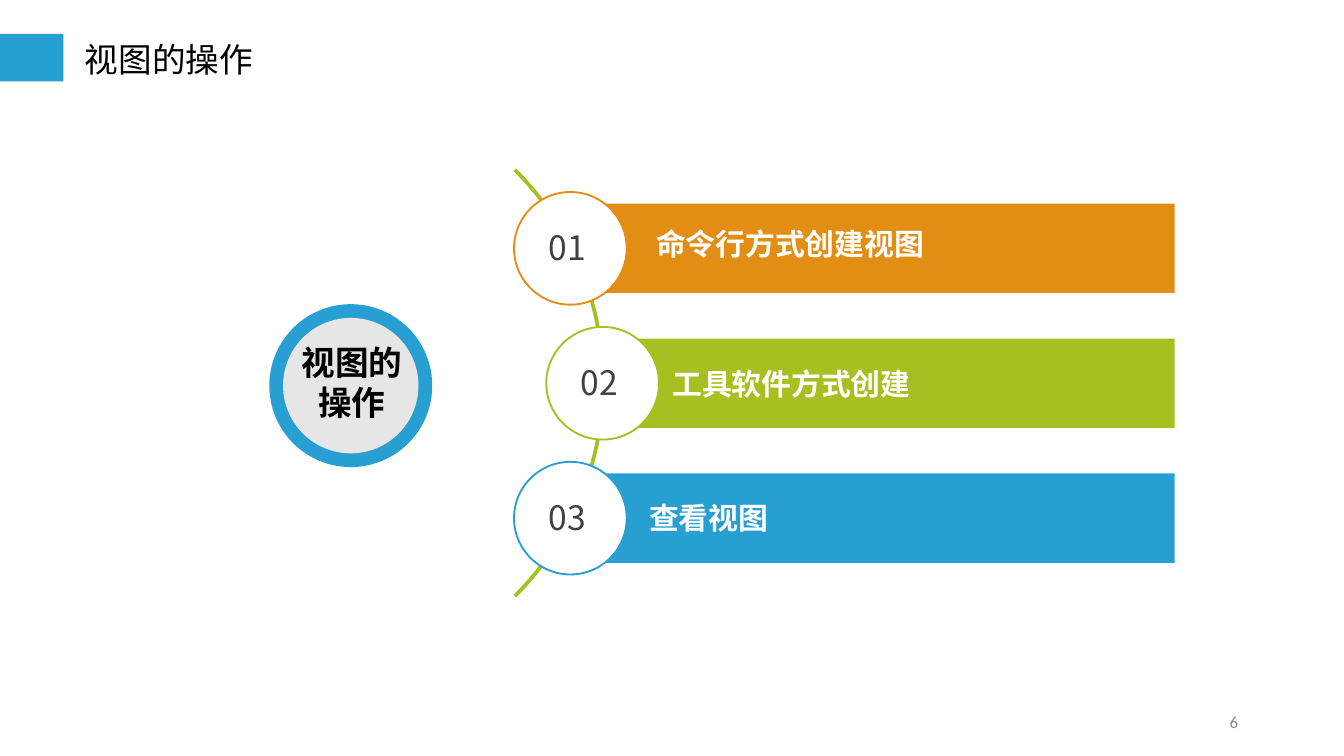
import pptx
import pptx.util
import pptx.dml.color
from pptx.enum.shapes import MSO_SHAPE
from pptx.enum.text import MSO_ANCHOR, PP_ALIGN
from pptx.oxml.ns import qn
from pptx.util import Cm

BLUE, GREEN, ORANGE = "289FD2", "A7BF20", "E28E14"
WHITE, BLACK = "FFFFFF", "000000"
CJK_FONT = "Noto Sans CJK SC"


def color(hex_text):
    return pptx.dml.color.RGBColor.from_string(hex_text)


def add_shape(page, kind, left, top, width, height, fill=None, line=None, line_width=1):
    shape = page.shapes.add_shape(kind, Cm(left), Cm(top), Cm(width), Cm(height))
    shape.shadow.inherit = False
    if fill:
        shape.fill.solid()
        shape.fill.fore_color.rgb = color(fill)
    else:
        shape.fill.background()
    if line:
        shape.line.color.rgb = color(line)
        shape.line.width = pptx.util.Pt(line_width)
    else:
        shape.line.fill.background()
    return shape


def write_text(box, text, size=18, font=CJK_FONT, ink=BLACK, bold=False,
               align=PP_ALIGN.LEFT, anchor=MSO_ANCHOR.TOP, wrap=True):
    frame = box.text_frame
    frame.word_wrap = wrap
    frame.vertical_anchor = anchor
    para = frame.paragraphs[0]
    para.alignment = align
    span = para.add_run()
    span.text = text
    span.font.size = pptx.util.Pt(size)
    span.font.name = font
    span.font.bold = bold
    span.font.color.rgb = color(ink)
    # Typeface for the Chinese characters
    east_asian = pptx.oxml.parse_xml(
        '<a:ea xmlns:a="http://schemas.openxmlformats.org/drawingml/2006/main" '
        f'typeface="{CJK_FONT}"/>')
    span.font._element.find(qn("a:latin")).addnext(east_asian)


def add_text(page, left, top, width, height, text, **style):
    box = page.shapes.add_textbox(Cm(left), Cm(top), Cm(width), Cm(height))
    write_text(box, text, **style)


def add_header(page, top, text):
    add_shape(page, MSO_SHAPE.RECTANGLE, 0, top, 1.2, 0.9, fill=BLUE)
    title = page.shapes.title
    title.left, title.top = Cm(1.35), Cm(top - 0.03)
    title.width, title.height = Cm(9.35), Cm(1.03)
    write_text(title, text, font="Calibri")


def add_hub(page, left, top, size, text):
    rim = 0.26
    inner = size - 2 * rim
    add_shape(page, MSO_SHAPE.OVAL, left, top, size, size, fill=BLUE)
    add_shape(page, MSO_SHAPE.OVAL, left + rim, top + rim, inner, inner, fill="E7E6E6")
    add_text(page, left + rim, top + 0.58, 2.6, 1.78, text, font="Calibri",
             bold=True, align=PP_ALIGN.CENTER)


def add_arc(page, left, top, size):
    arc = add_shape(page, MSO_SHAPE.ARC, left, top, size, size, line=GREEN, line_width=2)
    # From 315 to 45 degrees, in units of 1/216 turn
    arc.adjustments[0], arc.adjustments[1] = 189, 27


def add_step(page, center, top, right, number, text, fill, text_left, text_top):
    """A bar that starts at the centre of its numbered circle."""
    height, diameter = 1.69, 2.13
    radius = diameter / 2
    add_shape(page, MSO_SHAPE.RECTANGLE, center, top, right - center, height, fill=fill)
    add_shape(page, MSO_SHAPE.OVAL, center - radius, top + height / 2 - radius,
              diameter, diameter, fill=WHITE, line=fill)
    add_text(page, center - 0.66, top + 0.31, 1.22, 1.02, number, ink="404040", wrap=False)
    add_text(page, center + text_left, top + text_top, 9.3, 0.94, text,
             size=16, ink=WHITE, bold=True)


def add_steps(page, left, top, right, pitch):
    # Text, colour, circle shift, label offset from the circle centre and bar top
    steps = [
        ("命令行方式创建视图", ORANGE, 0, 1.37, 0.3),
        ("工具软件方式创建", GREEN, 0.61, 1.07, 0.38),
        ("查看视图", BLUE, 0, 1.24, 0.38),
    ]
    for index, (text, fill, shift, text_left, text_top) in enumerate(steps):
        add_step(page, left + shift, top + index * pitch, right, f"{index + 1:02}",
                 text, fill, text_left, text_top)


def main():
    deck = pptx.Presentation()
    deck.slide_width, deck.slide_height = Cm(25.4), Cm(14.29)
    page = deck.slides.add_slide(deck.slide_layouts[5])

    add_header(page, 0.64, "视图的操作")
    add_hub(page, 5.09, 5.75, 3.08, "视图的操作")
    add_arc(page, 0, 1.54, 11.4)
    add_steps(page, left=10.78, top=3.85, right=22.2, pitch=2.55)

    # Page number
    add_text(page, 17.93, 13.26, 5.72, 0.76, "6", size=9, font="Calibri", ink="898989",
             align=PP_ALIGN.RIGHT, anchor=MSO_ANCHOR.MIDDLE)
    deck.save("out.pptx")


if __name__ == "__main__":
    main()
